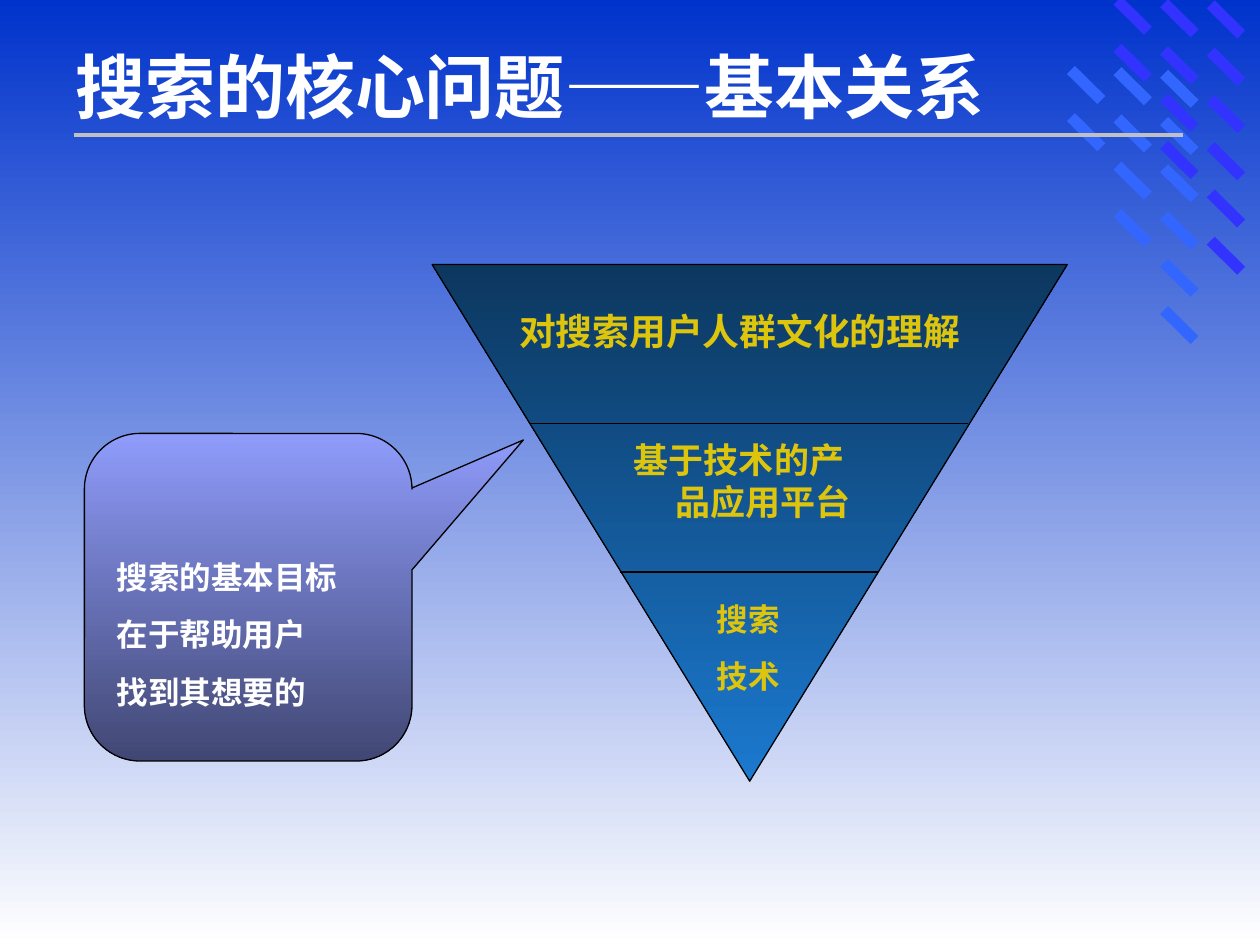
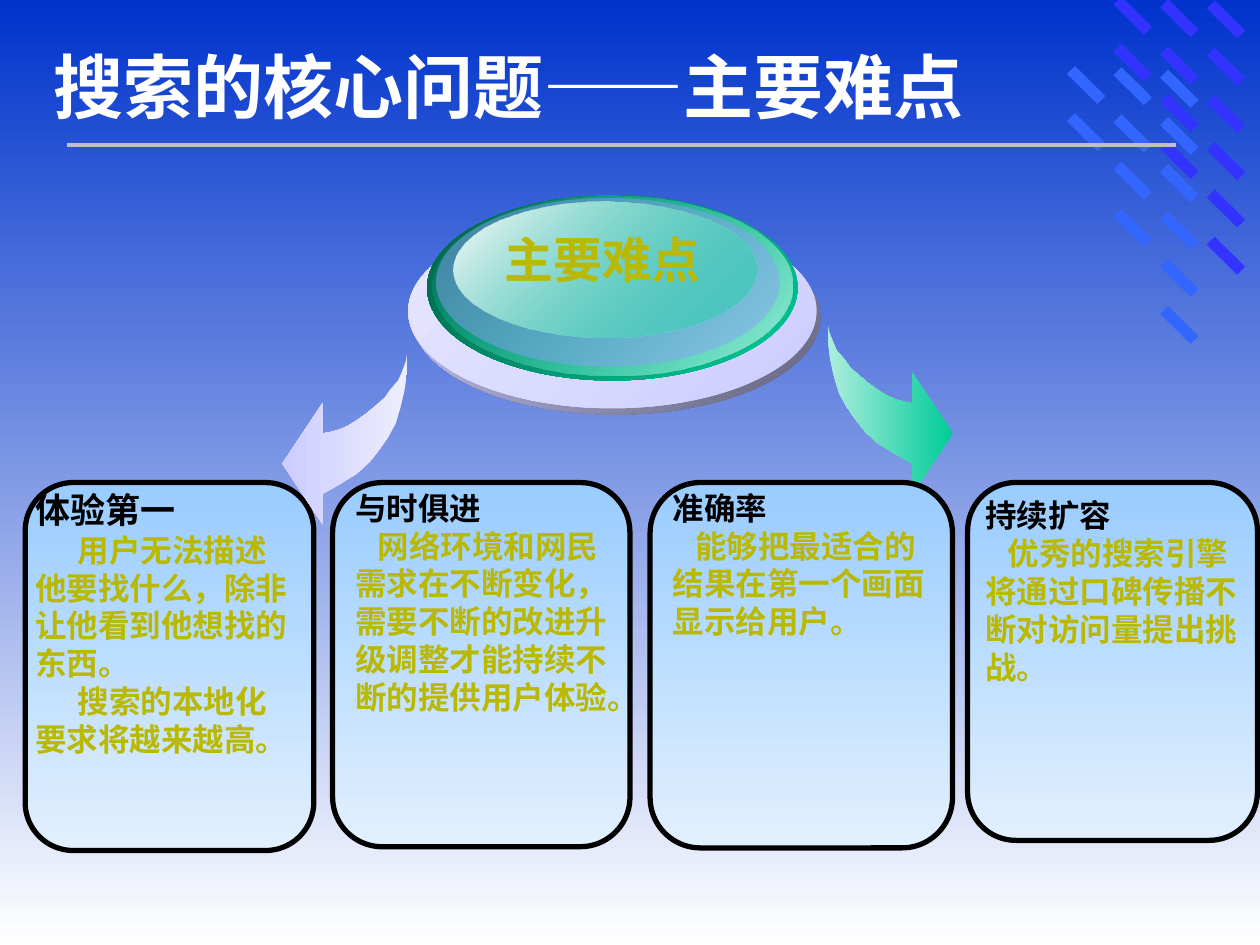
from pptx import Presentation
from pptx.dml.color import RGBColor
from pptx.enum.shapes import MSO_CONNECTOR, MSO_SHAPE
from pptx.enum.text import PP_ALIGN
from pptx.oxml.ns import qn
from pptx.oxml.xmlchemy import OxmlElement
from pptx.util import Inches, Pt

RECT = MSO_SHAPE.RECTANGLE
ELLIPSE = MSO_SHAPE.OVAL
TRIANGLE = MSO_SHAPE.ISOSCELES_TRIANGLE
CALLOUT = MSO_SHAPE.ROUNDED_RECTANGULAR_CALLOUT
CARD = MSO_SHAPE.ROUNDED_RECTANGLE
STRAIGHT = MSO_CONNECTOR.STRAIGHT
LEFT, CENTER = PP_ALIGN.LEFT, PP_ALIGN.CENTER

BLUE, WHITE, BLACK, SILVER = "0033CC", "FFFFFF", "000000", "C0C0C0"
VIOLET, AZURE = "3333FF", "3366FF"
GOLD, OLIVE = "DDC40D", "B9B903"
GREEN, LILAC = "00CC99", "CCCCFF"


def paint(shape, colors, angle=90, line=None, width=0.75, opacities=()):
    """Fill with one colour, or two along a clockwise angle; opacities in percent."""
    shape.shadow.inherit = False
    if len(colors) == 1:
        shape.fill.solid()
        shape.fill.fore_color.rgb = RGBColor.from_string(colors[0])
    else:
        shape.fill.gradient()
        shape.fill.gradient_angle = (360 - angle) % 360
        for stop, color in zip(shape.fill.gradient_stops, colors):
            stop.color.rgb = RGBColor.from_string(color)
    for color, opacity in zip(shape._element.spPr.iter(qn("a:srgbClr")), opacities):
        alpha = OxmlElement("a:alpha")
        alpha.set("val", str(opacity * 1000))
        color.append(alpha)
    if line:
        shape.line.color.rgb = RGBColor.from_string(line)
        shape.line.width = Pt(width)
    else:
        shape.line.fill.background()


def write(page, place, paras, align=LEFT, hang=0, before=0):
    """Add a text box; each paragraph is (text, size, font, colour, first-line indent)."""
    box = page.shapes.add_textbox(*map(Inches, place))
    frame = box.text_frame
    frame.word_wrap = True
    for number, (text, size, font, color, indent) in enumerate(paras):
        para = frame.paragraphs[0] if number == 0 else frame.add_paragraph()
        para.alignment = align
        if number:
            para.space_before = Pt(before)
        props = para._p.get_or_add_pPr()
        props.set("marL", str(Inches(hang)))
        props.set("indent", str(Inches(indent - hang)))
        span = para.add_run()
        span.text = text
        span.font.size = Pt(size)
        span.font.name = font
        span.font.bold = True
        span.font.color.rgb = RGBColor.from_string(color)


deck = Presentation()
deck.slide_width, deck.slide_height = Inches(10), Inches(7.5)

# Shared: background, dash pattern, title
dash_columns = [
    (9.56, 0.11, 6, VIOLET), (9.19, 0.1, 4, VIOLET), (8.82, 0.08, 2, VIOLET),
    (9.19, 0.66, 6, AZURE), (8.82, 0.64, 4, AZURE), (8.45, 0.63, 2, AZURE),
]
pages = []
for title, title_left in [("搜索的核心问题——基本关系", 0.5),
                          ("搜索的核心问题——主要难点", 0.33)]:
    page = deck.slides.add_slide(deck.slide_layouts[6])
    backdrop = page.background.fill
    backdrop.gradient()
    backdrop.gradient_angle = 270
    for stop, color in zip(backdrop.gradient_stops, (BLUE, WHITE)):
        stop.color.rgb = RGBColor.from_string(color)
    for left, top, count, color in dash_columns:
        for row in range(count):
            dash = page.shapes.add_shape(RECT, Inches(left), Inches(top + row * 0.375),
                                         Inches(0.34), Inches(0.09))
            dash.rotation = 44.6
            paint(dash, [color])
    write(page, (title_left, 0.3, 9, 0.9), [(title, 40, "Times New Roman", WHITE, 0)])
    pages.append(page)
relations, challenges = pages

# Slide 1: inverted pyramid
pyramid = relations.shapes.add_shape(TRIANGLE, Inches(3.43), Inches(2.1),
                                     Inches(5.04), Inches(4.1))
pyramid.rotation = 180
paint(pyramid, ["1B79CF", "0C375F"], 90, BLACK)

# Pyramid dividers and the rule under each title
for page, left, right, top, color, width in [
    (relations, 4.92, 6.97, 4.54, BLACK, 0.75),
    (relations, 4.21, 7.68, 3.36, BLACK, 0.75),
    (relations, 0.59, 9.39, 1.07, SILVER, 2.25),
    (challenges, 0.53, 9.33, 1.15, SILVER, 2.25),
]:
    rule = page.shapes.add_connector(STRAIGHT, Inches(left), Inches(top),
                                     Inches(right), Inches(top))
    rule.line.color.rgb = RGBColor.from_string(color)
    rule.line.width = Pt(width)
    rule._element.spPr.append(OxmlElement("a:effectLst"))

# Pyramid labels
for place, size, lines in [
    ((5.39, 4.71, 1.1, 0.86), 18, ["搜索", "技术"]),
    ((4.84, 3.43, 2.05, 0.77), 20, ["基于技术的产品应用平台"]),
    ((3.98, 2.4, 3.78, 0.45), 21, ["对搜索用户人群文化的理解"]),
]:
    write(relations, place, [(line, size, "Cabin", GOLD, 0) for line in lines],
          CENTER, 0.38, 11.2)

# Goal callout
callout = relations.shapes.add_shape(CALLOUT, Inches(0.67), Inches(3.44),
                                     Inches(2.6), Inches(2.6))
for number, value in enumerate((0.84, -0.48, 0.17)):
    callout.adjustments[number] = value
paint(callout, ["8F9CFB", "414773"], 90, BLACK)
goal_lines = ["搜索的基本目标", "在于帮助用户", "找到其想要的"]
write(relations, (0.83, 4.38, 2.2, 1.32),
      [(line, 18, "Cabin", WHITE, 0) for line in goal_lines], LEFT, 0.38, 11.2)

# Slide 2: curved arrows, the right one mirrored
arrow_outline = [
    (0.99, 0), (0.99, 0.15), (0.97, 0.29), (0.94, 0.42), (0.9, 0.55), (0.84, 0.66),
    (0.77, 0.76), (0.69, 0.86), (0.59, 0.95), (0.46, 1.03), (0.32, 1.11), (0.32, 1.35),
    (0, 0.87), (0.32, 0.39), (0.32, 0.63), (0.38, 0.62), (0.45, 0.6), (0.52, 0.57),
    (0.6, 0.52), (0.67, 0.47), (0.74, 0.41), (0.81, 0.35), (0.86, 0.28), (0.92, 0.21),
    (0.95, 0.14), (0.98, 0.06),
]
arrows = []
for tip, side, top, colors, angle in [
    (2.24, 1, 2.81, ["EDEDFE", LILAC], 180),
    (7.56, -1, 2.57, ["ADEDDD", GREEN], 0),
]:
    points = [(Inches(tip + side * x), Inches(top + y)) for x, y in arrow_outline]
    builder = challenges.shapes.build_freeform(*points[0])
    builder.add_line_segments(points[1:], close=True)
    arrow = builder.convert_to_shape()
    paint(arrow, colors, angle)
    arrows.append(arrow)

# Layered disc
for place, colors, opacities in [
    ((3.27, 1.75, 3.24, 1.54), ["62627B", LILAC], ()),
    ((3.24, 1.7, 3.24, 1.54), [LILAC, "E7E7FE"], ()),
    ((3.39, 1.55, 2.94, 1.47), [GREEN, "005E46"], ()),
    ((3.43, 1.55, 2.86, 1.43), ["A5ECDA", GREEN], (100, 0)),
    ((3.46, 1.57, 2.73, 1.34), ["8F9CFB"], (48,)),
    ((3.6, 1.6, 2.4, 1.08), [GREEN, "FEFEFE"], (38, 100)),
]:
    disc = challenges.shapes.add_shape(ELLIPSE, *map(Inches, place))
    paint(disc, colors, 225, opacities=opacities)
write(challenges, (3.82, 1.77, 1.92, 0.57), [("主要难点", 28, "Arial", OLIVE, 0)], CENTER)

# Challenge cards
for card_place, text_place, heading, heading_size, indent, body in [
    ((0.2, 3.83, 2.29, 2.92), (0.18, 3.83, 2.23, 2.24), "体验第一", 20, 0.34,
     ["用户无法描述他要找什么，除非让他看到他想找的东西。", "搜索的本地化要求将越来越高。"]),
    ((2.64, 3.83, 2.36, 2.89), (2.72, 3.83, 2.3, 2.2), "与时俱进", 18, 0.18,
     ["网络环境和网民需求在不断变化，需要不断的改进升级调整才能持续不断的提供用户体验。"]),
    ((5.16, 3.83, 2.4, 2.9), (5.24, 3.83, 2.36, 1.3), "准确率", 18, 0.18,
     ["能够把最适合的结果在第一个画面显示给用户。"]),
    ((7.68, 3.83, 2.3, 2.84), (7.72, 3.89, 2.25, 1.6), "持续扩容", 18, 0.18,
     ["优秀的搜索引擎将通过口碑传播不断对访问量提出挑战。"]),
]:
    card = challenges.shapes.add_shape(CARD, *map(Inches, card_place))
    paint(card, ["99CCFF", "E2F0FE"], 90, BLACK, 3)
    write(challenges, text_place,
          [(heading, heading_size, "Arial", BLACK, 0)]
          + [(text, 18, "DejaVu Sans", OLIVE, indent) for text in body])

# The left arrow lies over the first card
challenges.shapes._spTree.append(arrows[0]._element)

deck.save("out.pptx")
